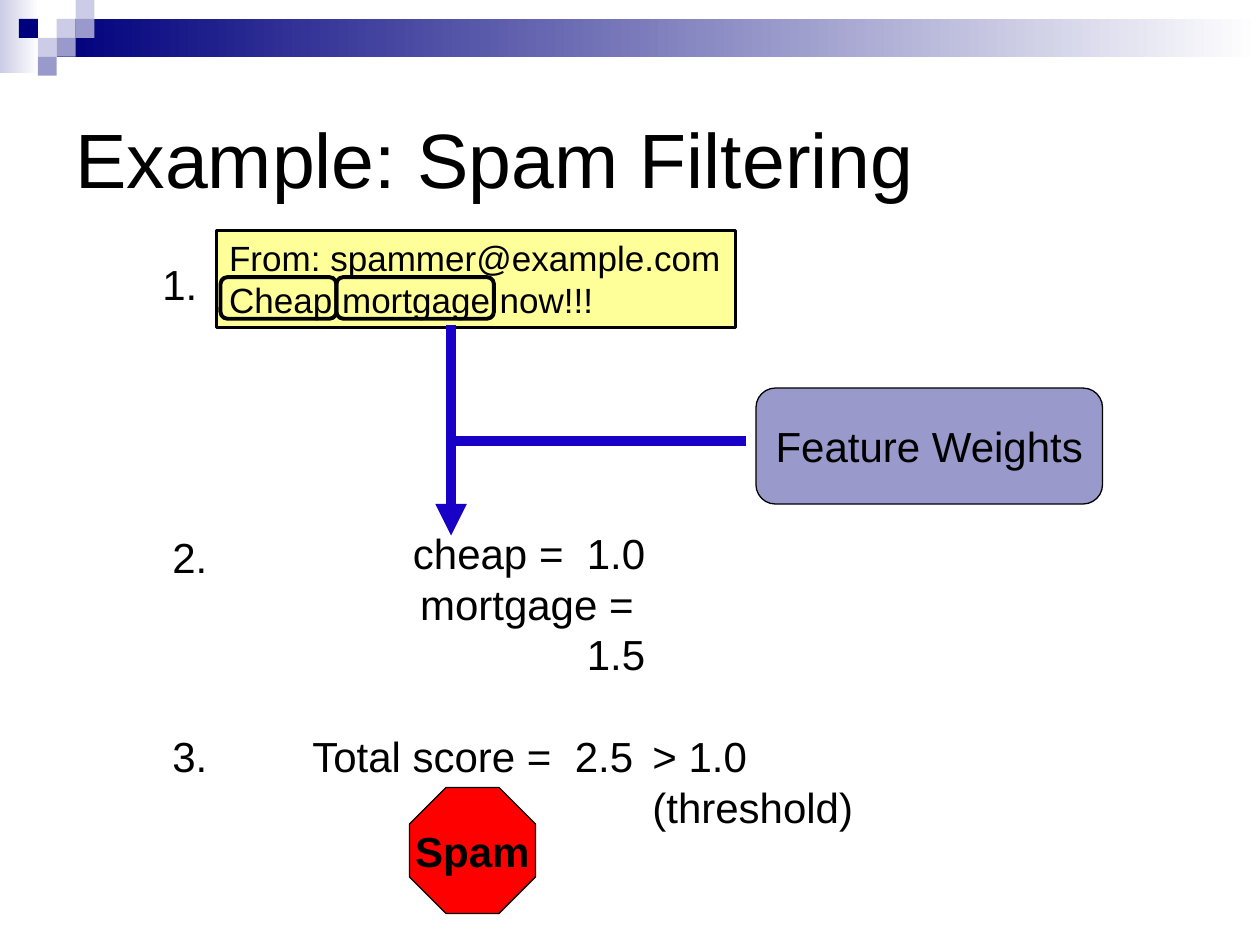
from dataclasses import dataclass
from typing import Optional

from lxml import etree
from pptx import Presentation
from pptx.dml.color import RGBColor
from pptx.enum import shapes, text
from pptx.oxml.ns import qn
from pptx.util import Inches, Pt

SHAPE = shapes.MSO_SHAPE
ALIGN = text.PP_ALIGN


@dataclass(frozen=True)
class Theme:
    font: str = "Arial"
    ink: str = "000000"
    white: str = "FFFFFF"
    navy: str = "00007D"
    lilac: str = "9999CC"
    pale: str = "CCCCE6"
    note: str = "FFFF99"
    arrow: str = "1800C6"
    stop: str = "FF0000"
    title: int = 44
    body: int = 24
    mail: int = 20


THEME = Theme()


@dataclass(frozen=True)
class Place:
    left: float
    top: float
    width: float
    height: float

    def lengths(self) -> list:
        return [Inches(n) for n in (self.left, self.top, self.width, self.height)]


@dataclass(frozen=True)
class Label:
    place: Place
    lines: tuple
    align: ALIGN = ALIGN.LEFT


@dataclass(frozen=True)
class Tile:
    column: int
    row: int
    color: str


def write(box, lines: tuple, size: int, align=ALIGN.LEFT, bold=False,
          middle=False, wrap=False) -> None:
    frame = box.text_frame
    frame.word_wrap = wrap
    frame.vertical_anchor = text.MSO_ANCHOR.MIDDLE if middle else text.MSO_ANCHOR.TOP
    for index, line in enumerate(lines):
        para = frame.paragraphs[0] if index == 0 else frame.add_paragraph()
        para.alignment = align
        span = para.add_run()
        span.text = line
        span.font.name = THEME.font
        span.font.size = Pt(size)
        span.font.bold = bold
        span.font.color.rgb = RGBColor.from_string(THEME.ink)


def add_text(page, label: Label, size: int = THEME.body, **style) -> None:
    box = page.shapes.add_textbox(*label.place.lengths())
    write(box, label.lines, size, label.align, **style)


def add_block(page, kind, place: Place, fill: Optional[str] = None,
              line: float = 0, adjust: Optional[float] = None):
    block = page.shapes.add_shape(kind, *place.lengths())
    block.shadow.inherit = False
    if adjust is not None:
        block.adjustments[0] = adjust
    if fill:
        block.fill.solid()
        block.fill.fore_color.rgb = RGBColor.from_string(fill)
    else:
        block.fill.background()
    if line:
        block.line.color.rgb = RGBColor.from_string(THEME.ink)
        block.line.width = Pt(line)
    else:
        block.line.fill.background()
    return block


def add_fade(page, place: Place, color: str) -> None:
    band = add_block(page, SHAPE.RECTANGLE, place)
    band.fill.gradient()
    band.fill.gradient_angle = 0
    for stop, position, shade in zip(band.fill.gradient_stops, (0, 1), (color, THEME.white)):
        stop.position = position
        stop.color.rgb = RGBColor.from_string(shade)


def add_line(page, start: tuple, end: tuple, arrow: bool = False) -> None:
    line = page.shapes.add_connector(
        shapes.MSO_CONNECTOR.STRAIGHT, *[Inches(n) for n in start + end])
    line.line.color.rgb = RGBColor.from_string(THEME.arrow)
    line.line.width = Pt(6)
    if arrow:
        etree.SubElement(line.line._get_or_add_ln(), qn("a:tailEnd"), type="triangle")
    etree.SubElement(line._element.spPr, qn("a:effectLst"))


TILE = 0.15
TILES = (
    Tile(3, 1, THEME.pale), Tile(4, 0, THEME.pale), Tile(4, 1, THEME.lilac),
    Tile(2, 2, THEME.pale), Tile(1, 1, THEME.navy), Tile(3, 2, THEME.lilac),
    Tile(2, 3, THEME.lilac),
)
LABELS = (
    Label(Place(2.68, 4.14, 2.54, 0.9), ("cheap =  1.0", "mortgage =  1.5"), ALIGN.RIGHT),
    Label(Place(2.38, 5.75, 2.78, 0.5), ("Total score =  2.5",)),
    Label(Place(5.08, 5.75, 2.63, 0.5), ("> 1.0 (threshold)",)),
    Label(Place(1.19, 2, 0.48, 0.5), ("1.",)),
    Label(Place(1.27, 4.17, 0.48, 0.5), ("2.",)),
    Label(Place(1.27, 5.75, 0.48, 0.5), ("3.",)),
)
WORD_FRAMES = (Place(1.75, 2.2, 0.92, 0.33), Place(2.67, 2.2, 1.25, 0.33))


def main() -> None:
    deck = Presentation()
    deck.slide_width, deck.slide_height = Inches(10), Inches(7.5)
    page = deck.slides.add_slide(deck.slide_layouts[6])

    # Header band and tiles
    add_fade(page, Place(0, 0, 0.31, 0.58), THEME.pale)
    add_fade(page, Place(0.45, 0.15, 9.55, 0.3), THEME.navy)
    for tile in TILES:
        place = Place(tile.column * TILE, tile.row * TILE, TILE, TILE)
        add_block(page, SHAPE.RECTANGLE, place, tile.color)

    # Title
    title = Label(Place(0.5, 0.5, 9, 1.5), ("Example: Spam Filtering",))
    add_text(page, title, THEME.title, middle=True, wrap=True)

    # Message and feature weights
    mail = add_block(page, SHAPE.RECTANGLE, Place(1.72, 1.83, 4.12, 0.77), THEME.note, 1.5)
    write(mail, ("From: spammer@example.com", "Cheap mortgage now!!!"), THEME.mail, wrap=True)
    weights = add_block(page, SHAPE.ROUNDED_RECTANGLE, Place(6, 3.08, 2.75, 0.92),
                        THEME.lilac, 0.75)
    write(weights, ("Feature Weights",), THEME.body, ALIGN.CENTER, middle=True)

    # Flow from message and weights to the scores
    add_line(page, (3.58, 2.58), (3.58, 4.25), arrow=True)
    add_line(page, (3.58, 3.5), (5.92, 3.5))

    # Frames around the matched words
    for place in WORD_FRAMES:
        add_block(page, SHAPE.ROUNDED_RECTANGLE, place, line=2.25)

    # Step numbers and scores
    for label in LABELS:
        add_text(page, label)

    # Verdict
    verdict = add_block(page, SHAPE.OCTAGON, Place(3.25, 6.25, 1, 1), THEME.stop, 0.75, 0.29)
    write(verdict, ("Spam",), THEME.body, ALIGN.CENTER, bold=True, middle=True)

    deck.save("out.pptx")


if __name__ == "__main__":
    main()
